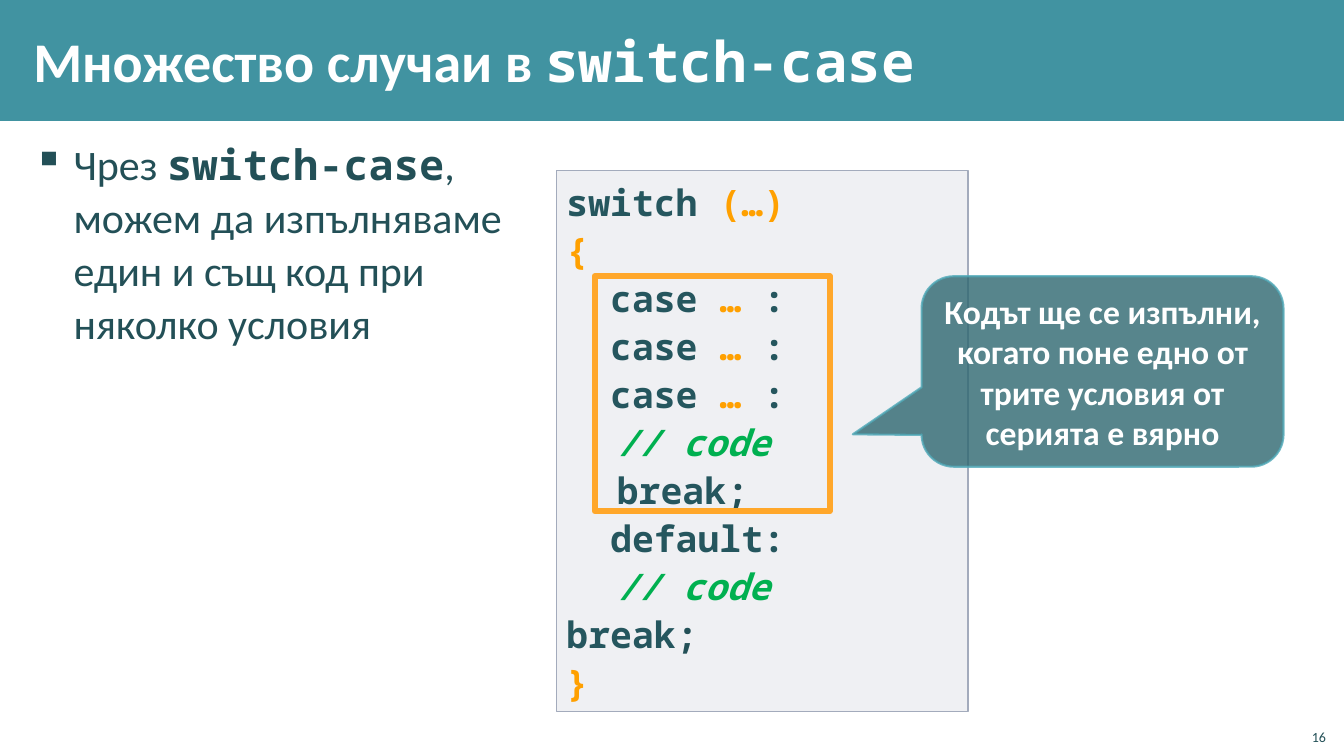
import pptx
import pptx.dml.color
import pptx.enum.shapes
import pptx.enum.text
import pptx.oxml
import pptx.oxml.ns
import pptx.util
from pptx.util import Inches

COLORS = {
    "banner": "4193A1", "white": "FFFFFF", "body": "235057", "code": "25565E",
    "accent": "FFA000", "comment": "00B050", "panel": "C2C7D2",
    "panel_line": "A3ABBC", "frame": "FFA72A", "callout": "2E6770",
    "callout_line": "50A9B8",
}
TEXT_FONT, CODE_FONT = "Calibri", "Noto Sans Mono"
SHAPE = pptx.enum.shapes.MSO_SHAPE
ANCHOR = pptx.enum.text.MSO_ANCHOR
ALIGN = pptx.enum.text.PP_ALIGN


def rgb(name):
    return pptx.dml.color.RGBColor.from_string(COLORS[name])


def make_element(tag, **attributes):
    element = pptx.oxml.parse_xml(f"<{tag} {pptx.oxml.ns.nsdecls('a')}/>")
    for key, value in attributes.items():
        element.set(key, str(value))
    return element


def set_color(fill, name, opacity=100):
    fill.solid()
    fill.fore_color.rgb = rgb(name)
    if opacity < 100:
        color = fill._xPr.find(".//" + pptx.oxml.ns.qn("a:srgbClr"))
        color.append(make_element("a:alpha", val=opacity * 1000))


class SlideBuilder:
    def __init__(self, slide):
        self.slide = slide

    def shape(self, kind, box, fill=None, opacity=100, line=None, width=1, line_opacity=100):
        s = self.slide.shapes.add_shape(kind, *map(Inches, box))
        s.shadow.inherit = False
        if fill:
            set_color(s.fill, fill, opacity)
        else:
            s.fill.background()
        if line:
            s.line.width = pptx.util.Pt(width)
            set_color(s.line.fill, line, line_opacity)
            s.line._ln.append(make_element("a:round"))
        else:
            s.line.fill.background()
        return s

    def textbox(self, box):
        return self.slide.shapes.add_textbox(*map(Inches, box))

    def frame(self, s, anchor=ANCHOR.TOP, margins=(0.1, 0.05)):
        tf = s.text_frame
        tf.word_wrap = True
        tf.vertical_anchor = anchor
        tf.margin_left = tf.margin_right = Inches(margins[0])
        tf.margin_top = tf.margin_bottom = Inches(margins[1])
        return tf

    def paragraph(self, p, runs, size, align=ALIGN.LEFT, spacing=None):
        """Fill p with runs given as (text, font, color, bold[, italic])."""
        p.alignment = align
        if spacing:
            p.line_spacing = spacing
        for text, font, color, bold, *italic in runs:
            r = p.add_run()
            r.text = text
            r.font.name = font
            r.font.size = pptx.util.Pt(size)
            r.font.bold = bold
            r.font.italic = bool(italic)
            r.font.color.rgb = rgb(color)

    def bullet(self, p, char, indent):
        pPr = p._p.get_or_add_pPr()
        pPr.set("marL", str(Inches(indent)))
        pPr.set("indent", str(-Inches(indent)))
        pPr.append(make_element("a:buChar", char=char))

    def code(self, tf, lines, size):
        for number, line in enumerate(lines):
            p = tf.add_paragraph() if number else tf.paragraphs[0]
            runs = [(text, CODE_FONT, color, True, *(["italic"] if color == "comment" else []))
                    for text, color in line]
            self.paragraph(p, runs, size, spacing=1.1)


def main():
    prs = pptx.Presentation()
    prs.slide_width, prs.slide_height = Inches(13.33), Inches(7.5)
    b = SlideBuilder(prs.slides.add_slide(prs.slide_layouts[6]))

    b.shape(SHAPE.RECTANGLE, (0, 0, 13.33, 1.2), "banner")

    tf = b.frame(b.textbox((0.21, 1.31, 4.91, 6.08)), margins=(0.12, 0.04))
    p = tf.paragraphs[0]
    b.bullet(p, "▪", 0.4)
    b.paragraph(p, [
        ("Чрез ", TEXT_FONT, "body", False),
        ("switch-case", CODE_FONT, "body", True),
        (", можем да изпълняваме един и същ код при няколко условия", TEXT_FONT, "body", False),
    ], 30, spacing=1.05)

    tf = b.frame(b.textbox((0.21, 0.11, 10.71, 0.97)), ANCHOR.MIDDLE, (0.12, 0.04))
    b.paragraph(tf.paragraphs[0], [
        ("Множество случаи в ", TEXT_FONT, "white", True),
        ("switch-case", CODE_FONT, "white", True),
    ], 40)

    case_line = [("  case ", "code"), ("… ", "accent"), (":", "code")]
    comment_line = [("\t", "code"), ("// code", "comment")]
    panel = b.shape(SHAPE.RECTANGLE, (5.52, 1.69, 4.08, 5.37), "panel", 25, "panel_line")
    b.code(b.frame(panel), [
        [("switch ", "code"), ("(…)", "accent")],
        [("{", "accent")],
        *[case_line] * 3,
        comment_line,
        [("\tbreak", "code"), (";", "body")],
        [("  default:", "code")],
        comment_line,
        [("break", "code"), (";", "body")],
        [("}", "accent")],
    ], 26)

    b.shape(SHAPE.RECTANGLE, (5.9, 2.74, 2.33, 2.33), line="frame", width=4.5)

    callout = b.shape(SHAPE.ROUNDED_RECTANGULAR_CALLOUT, (9.14, 2.74, 3.59, 1.89),
                      "callout", 80, "callout_line", 1.5, 80)
    for index, value in enumerate((-0.69, 0.33, 0.17)):
        callout.adjustments[index] = value
    tf = b.frame(callout, ANCHOR.MIDDLE)
    b.paragraph(tf.paragraphs[0], [
        ("Кодът ще се изпълни, когато поне едно от трите условия от серията е вярно",
         TEXT_FONT, "white", True),
    ], 24, ALIGN.CENTER)

    tf = b.frame(b.textbox((12.85, 7.12, 0.4, 0.32)), ANCHOR.BOTTOM)
    b.paragraph(tf.paragraphs[0], [("16", TEXT_FONT, "body", False)], 10, ALIGN.RIGHT)

    prs.save("out.pptx")


if __name__ == "__main__":
    main()
